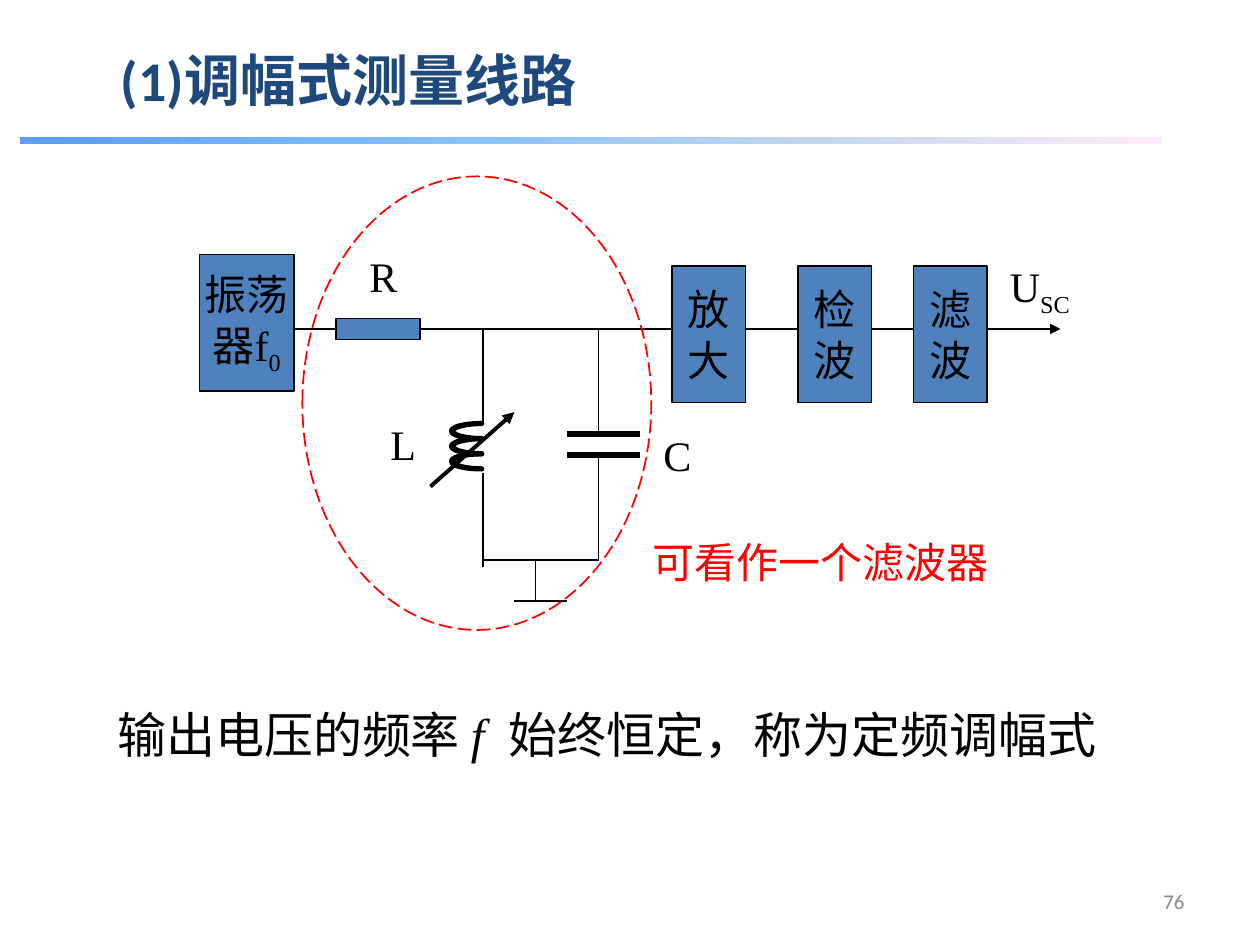
from lxml.etree import SubElement
from pptx import Presentation
from pptx.dml.color import RGBColor
from pptx.enum.dml import MSO_LINE_DASH_STYLE as Dash
from pptx.enum.shapes import MSO_CONNECTOR as Conn, MSO_SHAPE as Shape
from pptx.enum.text import MSO_ANCHOR as Anchor, PP_ALIGN as Align
from pptx.oxml.ns import qn
from pptx.util import Pt

BLACK = RGBColor(0x00, 0x00, 0x00)
RED = RGBColor(0xFF, 0x00, 0x00)
NAVY = RGBColor(0x1F, 0x49, 0x7D)
BLUE = RGBColor(0x4F, 0x81, 0xBD)
GRAY = RGBColor(0x89, 0x89, 0x89)
RULE_STOPS = [
    (0, RGBColor(0x5E, 0x9E, 0xFF)),
    (40, RGBColor(0x85, 0xC2, 0xFF)),
    (70, RGBColor(0xC4, 0xD6, 0xEB)),
    (100, RGBColor(0xFF, 0xEB, 0xFA)),
]
SERIF = "Times New Roman"
CJK = "Noto Sans CJK SC"


class Canvas:
    """Draws in points on one slide with a shared circuit style."""

    def __init__(self, slide, thin=0.75, thick=3):
        self.shapes = slide.shapes
        self.thin = thin
        self.thick = thick

    def format_run(self, r, size, font, color, bold=False):
        r.font.size = Pt(size)
        r.font.name = font
        r.font.bold = bold
        r.font.color.rgb = color
        SubElement(r.font._element, qn("a:ea")).set("typeface", CJK)

    def set_text(self, tf, text, size=24, font=SERIF, color=BLACK,
                 align=Align.LEFT, bold=False, wrap=False):
        tf.text = text
        tf.word_wrap = wrap
        for p in tf.paragraphs:
            p.alignment = align
            for r in p.runs:
                self.format_run(r, size, font, color, bold)

    def subscript(self, tf, text):
        r = tf.paragraphs[-1].add_run()
        r.text = text
        self.format_run(r, 24, SERIF, BLACK)
        r.font._element.set("baseline", "-25000")

    def label(self, x, y, w, h, text, **style):
        tf = self.shapes.add_textbox(Pt(x), Pt(y), Pt(w), Pt(h)).text_frame
        self.set_text(tf, text, **style)
        return tf

    def shape(self, kind, x, y, w, h, fill=BLUE, line=BLACK, width=None):
        sp = self.shapes.add_shape(kind, Pt(x), Pt(y), Pt(w), Pt(h))
        sp.shadow.inherit = False
        if fill is None:
            sp.fill.background()
        else:
            sp.fill.solid()
            sp.fill.fore_color.rgb = fill
        sp.line.color.rgb = line
        sp.line.width = Pt(width or self.thin)
        return sp

    def block(self, x, y, w, h, text):
        sp = self.shape(Shape.RECTANGLE, x, y, w, h)
        sp.text_frame.vertical_anchor = Anchor.MIDDLE
        self.set_text(sp.text_frame, text, align=Align.CENTER)
        return sp

    def line(self, x1, y1, x2, y2, width=None, arrow=False):
        cx = self.shapes.add_connector(Conn.STRAIGHT, Pt(x1), Pt(y1), Pt(x2), Pt(y2))
        cx.line.color.rgb = BLACK
        cx.line.width = Pt(width or self.thin)
        sp_pr = cx._element.spPr
        if arrow:
            SubElement(sp_pr.find(qn("a:ln")), qn("a:tailEnd")).set("type", "triangle")
        SubElement(sp_pr, qn("a:effectLst"))
        return cx

    def gradient_bar(self, x, y, w, h, stops):
        sp = self.shape(Shape.RECTANGLE, x, y, w, h)
        sp.line.fill.background()
        sp.fill.gradient()
        sp.fill.gradient_angle = 0
        gs_list = sp._element.spPr.find(".//" + qn("a:gsLst"))
        for gs in list(gs_list):
            gs_list.remove(gs)
        for position, color in stops:
            gs = SubElement(gs_list, qn("a:gs"))
            gs.set("pos", str(position * 1000))
            SubElement(gs, qn("a:srgbClr")).set("val", str(color))


def draw_circuit(c):
    wire_y, ground_y, earth_y = 188, 320, 343.5
    coil_x, cap_x, earth_x = 276, 342, 306
    plates = (248, 260)

    osc = c.block(114, 145.5, 54, 78, "振荡\n器f")
    c.subscript(osc.text_frame, "0")
    resistor = c.shape(Shape.RECTANGLE, 192, wire_y - 6, 48, 12)
    c.line(168, wire_y, 192, wire_y).end_connect(resistor, 1)
    c.line(240, wire_y, 384, wire_y).begin_connect(resistor, 3)

    stages = [(384, "放\n大"), (456, "检\n波"), (522, "滤\n波")]
    ends = [x for x, _ in stages[1:]] + [606]
    for (x, text), end in zip(stages, ends):
        c.block(x, 152, 42, 78, text)
        c.line(x + 42, wire_y, end, wire_y, arrow=end == ends[-1])

    for y in plates:
        c.line(324, y, 366, y, c.thick)
    for i in range(3):
        turn = c.shape(Shape.MOON, 258, 242 + 8.64 * i, 17.3, 8.64, width=c.thick)
        turn.adjustments[0] = 0.033

    c.line(cap_x, wire_y, cap_x, plates[0])
    c.line(cap_x, plates[1], cap_x, ground_y)
    c.line(coil_x, wire_y, coil_x, 242)
    c.line(coil_x, 270, coil_x, 324)
    c.line(coil_x, ground_y, cap_x, ground_y)
    c.line(earth_x, ground_y, earth_x, earth_y)
    c.line(294, earth_y, 324, earth_y)

    for x, y, text in [(216, 235.5, "L"), (204, 139.5, "R"), (372, 242, "C")]:
        c.label(x, y, 30, 36, text)
    output = c.label(570, 145.5, 51, 36, "U")
    c.subscript(output, "SC")
    c.line(246, 278, 294, 235.5, 2.25, arrow=True)


def main():
    prs = Presentation()
    prs.slide_width, prs.slide_height = Pt(720), Pt(540)
    s = prs.slides.add_slide(prs.slide_layouts[6])
    c = Canvas(s)

    page = c.label(516, 500.5, 168, 28.8, "76", size=12, font="Calibri",
                   color=GRAY, align=Align.RIGHT, wrap=True)
    page.vertical_anchor = Anchor.MIDDLE
    c.gradient_bar(11.5, 78.5, 652.5, 3.6, RULE_STOPS)
    c.label(62, 22.3, 404.6, 46, "(1)调幅式测量线路", size=32, font="Calibri",
            color=NAVY, bold=True, wrap=True)

    draw_circuit(c)

    summary = c.label(60, 399, 588, 41, "输出电压的频率 ", size=28, font=CJK, wrap=True)
    p = summary.paragraphs[0]
    for text, font in [("f ", SERIF), ("始终恒定，称为定频调幅式", CJK)]:
        r = p.add_run()
        r.text = text
        c.format_run(r, 28, font, BLACK)
    symbol = p.runs[1].font
    symbol.italic = True
    symbol._element.set("spc", "350")

    oval = c.shape(Shape.OVAL, 172.8, 100.8, 199.4, 259.2, fill=None, line=RED, width=1)
    oval.line.dash_style = Dash.LONG_DASH
    c.label(366, 303, 208, 36, "可看作一个滤波器", font="Arial", color=RED)

    prs.save("out.pptx")


if __name__ == "__main__":
    main()
